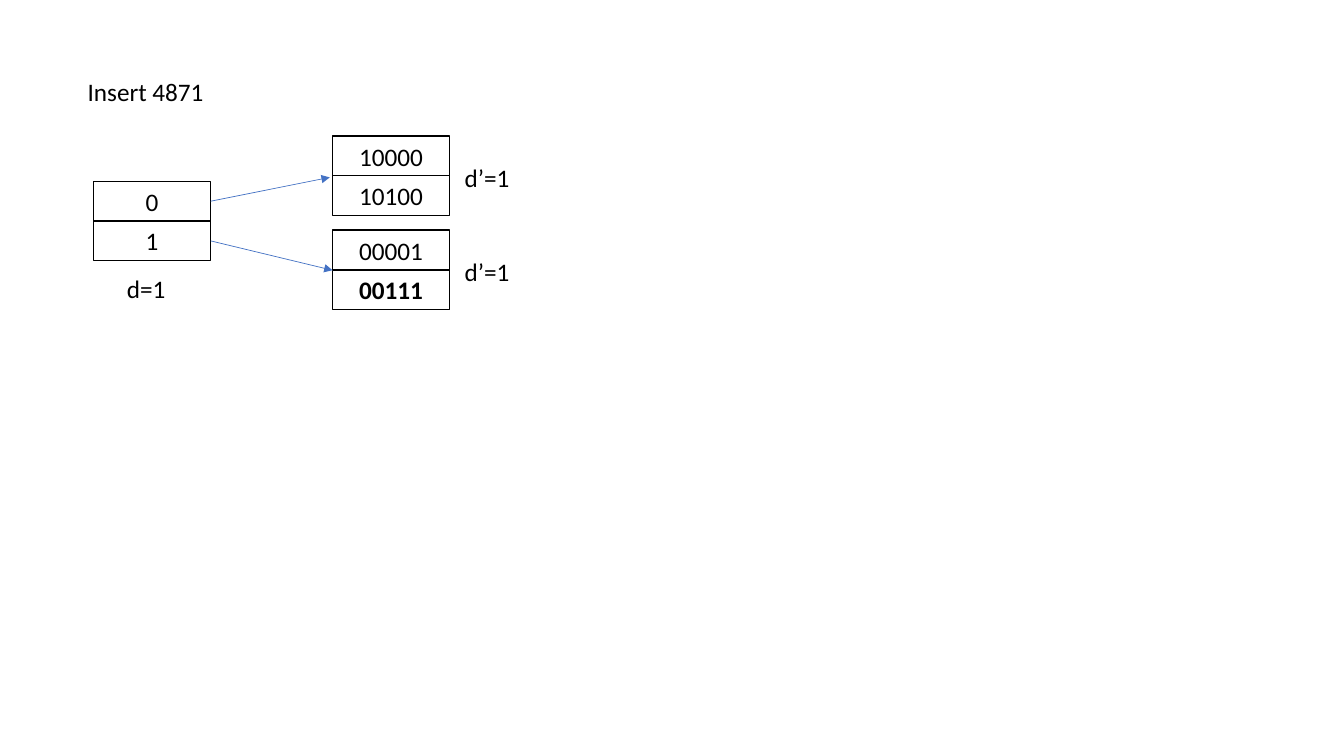
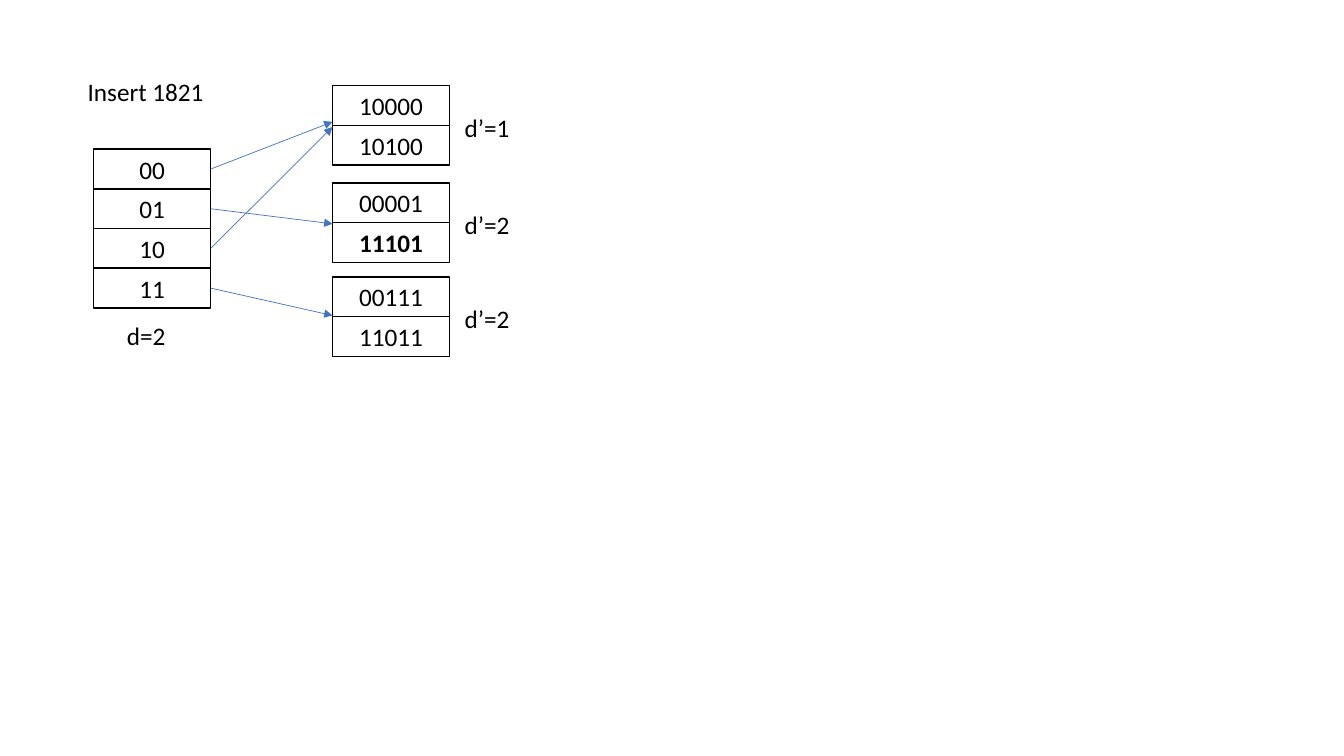
from dataclasses import dataclass
from typing import List

from lxml.etree import SubElement
from pptx import Presentation
from pptx.dml.color import RGBColor
from pptx.enum.shapes import MSO_CONNECTOR, MSO_SHAPE
from pptx.enum.text import MSO_ANCHOR, MSO_AUTO_SIZE, PP_ALIGN
from pptx.oxml.ns import qn
from pptx.slide import Slide
from pptx.text.text import _Paragraph
from pptx.util import Cm, Pt

COLORS = {"ink": "000000", "paper": "FFFFFF", "arrow": "4472C4"}
FONT = "Calibri"
CELL_WIDTH, CELL_HEIGHT = 2.95, 1.0
DIRECTORY_LEFT, BUCKET_LEFT = 2.36, 8.38
LABEL_HEIGHT = 1.02


@dataclass
class Bucket:
    """A bucket of hashed keys with its local depth."""
    top: float
    keys: List[str]
    depth: int


@dataclass
class Pointer:
    """An arrow from a directory row to a point beside a bucket."""
    row: int
    tip_y: float
    tip_x: float = BUCKET_LEFT


@dataclass
class HashTable:
    """The state of an extendible hash table after an insertion."""
    title: str
    new_key: str
    depth: int
    directory_top: float
    directory: List[str]
    buckets: List[Bucket]
    pointers: List[Pointer]


TABLES = [
    HashTable(
        "Insert 4871", "00111", 1, 4.57, ["0", "1"],
        [Bucket(3.43, ["10000", "10100"], 1),
         Bucket(5.8, ["00001", "00111"], 1)],
        [Pointer(0, 4.47, 8.31), Pointer(1, 6.81)],
    ),
    HashTable(
        "Insert 1821", "11101", 2, 3.76, ["00", "01", "10", "11"],
        [Bucket(2.16, ["10000", "10100"], 1),
         Bucket(4.61, ["00001", "11101"], 2),
         Bucket(6.98, ["00111", "11011"], 2)],
        [Pointer(0, 3.07), Pointer(1, 5.64), Pointer(2, 3.2), Pointer(3, 7.95)],
    ),
]


def color(name: str) -> RGBColor:
    """Look up a named colour."""
    return RGBColor.from_string(COLORS[name])


def add_span(para: _Paragraph, text: str, bold: bool = False) -> None:
    """Add one styled run to a paragraph."""
    span = para.add_run()
    span.text = text
    span.font.name = FONT
    span.font.size = Pt(18)
    span.font.bold = bold
    span.font.color.rgb = color("ink")


def add_label(page: Slide, left: float, top: float, width: float, text: str,
              wrap: bool = False) -> None:
    """Add a plain text label."""
    box = page.shapes.add_textbox(Cm(left), Cm(top), Cm(width), Cm(LABEL_HEIGHT))
    box.text_frame.word_wrap = wrap
    box.text_frame.auto_size = MSO_AUTO_SIZE.SHAPE_TO_FIT_TEXT
    add_span(box.text_frame.paragraphs[0], text)


def add_stack(page: Slide, left: float, top: float, entries: List[str],
              bold_entry: str = "") -> None:
    """Stack one outlined cell per entry."""
    for row, entry in enumerate(entries):
        box = page.shapes.add_shape(
            MSO_SHAPE.RECTANGLE, Cm(left), Cm(top + row * CELL_HEIGHT),
            Cm(CELL_WIDTH), Cm(CELL_HEIGHT))
        box.shadow.inherit = False
        box.fill.solid()
        box.fill.fore_color.rgb = color("paper")
        box.line.color.rgb = color("ink")
        box.line.width = Pt(1)
        box.text_frame.vertical_anchor = MSO_ANCHOR.MIDDLE
        para = box.text_frame.paragraphs[0]
        para.alignment = PP_ALIGN.CENTER
        add_span(para, entry, bold=entry == bold_entry)


def add_pointer(page: Slide, pointer: Pointer, directory_top: float) -> None:
    """Draw an arrow from the middle of a directory row's right edge."""
    start_y = directory_top + (pointer.row + 0.5) * CELL_HEIGHT
    arrow = page.shapes.add_connector(
        MSO_CONNECTOR.STRAIGHT, Cm(DIRECTORY_LEFT + CELL_WIDTH), Cm(start_y),
        Cm(pointer.tip_x), Cm(pointer.tip_y))
    arrow.line.color.rgb = color("arrow")
    arrow.line.width = Pt(0.5)
    properties = arrow.element.spPr
    SubElement(properties.find(qn("a:ln")), qn("a:tailEnd"), type="triangle")
    SubElement(properties, qn("a:effectLst"))


def add_table_page(deck: Presentation, table: HashTable) -> None:
    """Build one slide showing a hash table."""
    page = deck.slides.add_slide(deck.slide_layouts[6])
    add_label(page, 1.96, 1.8, 4.32, table.title, wrap=True)
    add_stack(page, DIRECTORY_LEFT, table.directory_top, table.directory)
    directory_bottom = table.directory_top + len(table.directory) * CELL_HEIGHT
    add_label(page, 2.95, directory_bottom + 0.19, 1.5, f"d={table.depth}")
    for bucket in table.buckets:
        add_stack(page, BUCKET_LEFT, bucket.top, bucket.keys, table.new_key)
        add_label(page, 11.46, bucket.top + 0.54, 1.65, f"d’={bucket.depth}")
    for pointer in table.pointers:
        add_pointer(page, pointer, table.directory_top)


def main() -> None:
    """Build and save the deck."""
    deck = Presentation()
    deck.slide_width, deck.slide_height = Cm(33.87), Cm(19.05)
    for table in TABLES:
        add_table_page(deck, table)
    deck.save("out.pptx")


main()
